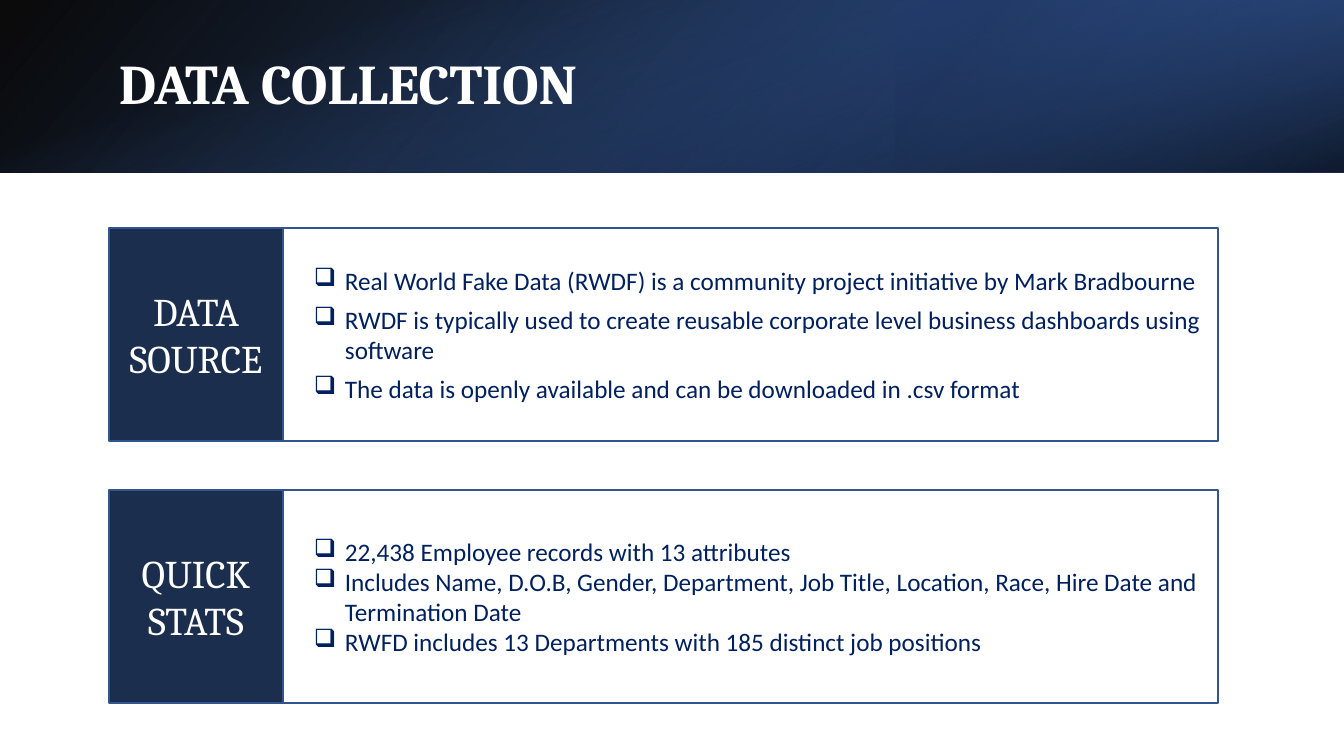
from lxml import etree
from pptx import Presentation
from pptx.dml.color import RGBColor
from pptx.enum.shapes import MSO_SHAPE
from pptx.enum.text import MSO_ANCHOR, PP_ALIGN
from pptx.oxml import parse_xml
from pptx.oxml.ns import nsdecls, qn
from pptx.util import Emu, Pt

RECT = MSO_SHAPE.RECTANGLE
MIDDLE = MSO_ANCHOR.MIDDLE
LEFT, CENTER = PP_ALIGN.LEFT, PP_ALIGN.CENTER

WHITE = RGBColor(0xFF, 0xFF, 0xFF)
BLACK = RGBColor(0x00, 0x00, 0x00)
NAVY = RGBColor(0x1C, 0x2E, 0x4E)
INK = RGBColor(0x00, 0x20, 0x60)
BORDER = RGBColor(0x32, 0x54, 0x91)
BLUE = RGBColor(0x2F, 0x55, 0x97)
DEEP_BLUE = RGBColor(0x20, 0x38, 0x64)
BRIGHT_BLUE = RGBColor(0x44, 0x72, 0xC4)

SLIDE_W, SLIDE_H = 1344, 756
HEADER_H = 173
CARD_X, CARD_Y, CARD_W, CARD_H = 109, 228, 1109, 213
CARD_PITCH = 262
LABEL_W = 174

CARDS = [
    ("DATA SOURCE", 6, [
        "Real World Fake Data (RWDF) is a community project initiative by Mark Bradbourne",
        "RWDF is typically used to create reusable corporate level business dashboards using "
        "software",
        "The data is openly available and can be downloaded in .csv format",
    ]),
    ("QUICK STATS", 0, [
        "22,438 Employee records with 13 attributes",
        "Includes Name, D.O.B, Gender, Department, Job Title, Location, Race, Hire Date and "
        "Termination Date",
        "RWFD includes 13 Departments with 185 distinct job positions",
    ]),
]


def px(n):
    """Turn slide pixels into EMU."""
    return Emu(round(n * 914400 / 100.8))


def add_rect(slide, x, y, w, h, fill=None, line=None):
    """Add a flat rectangle with an optional fill and outline."""
    sp = slide.shapes.add_shape(RECT, px(x), px(y), px(w), px(h))
    sp.shadow.inherit = False
    if fill is None:
        sp.fill.background()
    else:
        sp.fill.solid()
        sp.fill.fore_color.rgb = fill
    if line is None:
        sp.line.fill.background()
    else:
        sp.line.color.rgb = line
        sp.line.width = Pt(1)
    return sp


def add_gradient(slide, x, y, w, h, stops, angle, rotation=0, flip=False):
    """Add a rectangle with a linear gradient of (position, colour, opacity) stops."""
    sp = add_rect(slide, x, y, w, h)
    sp.rotation = rotation
    spPr = sp.element.spPr
    if flip:
        spPr.xfrm.set("flipH", "1")
    grad = parse_xml(f'<a:gradFill {nsdecls("a")} rotWithShape="1"><a:gsLst/>'
                     f'<a:lin ang="{angle * 60000}" scaled="0"/></a:gradFill>')
    for pos, color, opacity in stops:
        gs = etree.SubElement(grad[0], qn("a:gs"), pos=str(pos * 1000))
        clr = etree.SubElement(gs, qn("a:srgbClr"), val=str(color))
        etree.SubElement(clr, qn("a:alpha"), val=str(opacity * 1000))
    spPr.replace(spPr.find(qn("a:noFill")), grad)


def write(sp, lines, font, size, color, bold=False, align=LEFT, after=0, spacing=1.0,
          bullet=None):
    """Write one paragraph per line, vertically centred, with one format."""
    tf = sp.text_frame
    tf.word_wrap = True
    tf.vertical_anchor = MIDDLE
    for i, text in enumerate(lines):
        p = tf.paragraphs[0] if i == 0 else tf.add_paragraph()
        p.alignment = align
        p.line_spacing = spacing
        p.space_after = Pt(after)
        if bullet:
            pPr = p._p.get_or_add_pPr()
            pPr.set("marL", str(px(52)))
            pPr.set("indent", str(-px(31)))
            etree.SubElement(pPr, qn("a:buChar"), char=bullet)
        r = p.add_run()
        r.text = text
        r.font.name = font
        r.font.size = Pt(size)
        r.font.bold = bold
        r.font.color.rgb = color


def add_header(slide, x, y, w, h, title):
    """Layer the gradient band and set the title on it."""
    add_gradient(slide, x, y, w, h, [(0, BLACK, 96), (100, BLUE, 100)], 140, flip=True)
    third = w // 3
    add_gradient(slide, x + w - third, y, third, h,
                 [(19, DEEP_BLUE, 68), (100, BRIGHT_BLUE, 79)], 320, rotation=180, flip=True)
    add_gradient(slide, x + (w - h) / 2, y + (h - w) / 2, h, w,
                 [(23, BRIGHT_BLUE, 0), (99, BLACK, 74)], 340, rotation=90)
    box = slide.shapes.add_textbox(px(x + CARD_X), px(y + 38), px(CARD_W), px(97))
    write(box, [title], "Cambria", 40, WHITE, bold=True, after=6, spacing=0.9)


def add_card(slide, x, y, w, h, label, after, points):
    """Place a bulleted panel with its dark label on the left."""
    body = add_rect(slide, x + LABEL_W, y, w - LABEL_W, h, line=BORDER)
    write(body, points, "Calibri", 18, INK, after=after, bullet="❑")
    tab = add_rect(slide, x, y, LABEL_W, h, fill=NAVY, line=BORDER)
    write(tab, [label], "Cambria", 28, WHITE, align=CENTER)


def main():
    """Build the slide and save it."""
    prs = Presentation()
    prs.slide_width, prs.slide_height = px(SLIDE_W), px(SLIDE_H)
    slide = prs.slides.add_slide(prs.slide_layouts[6])
    add_header(slide, 0, 0, SLIDE_W, HEADER_H, "DATA COLLECTION")
    for i, (label, after, points) in enumerate(CARDS):
        add_card(slide, CARD_X, CARD_Y + i * CARD_PITCH, CARD_W, CARD_H, label, after, points)
    prs.save("out.pptx")


if __name__ == "__main__":
    main()
